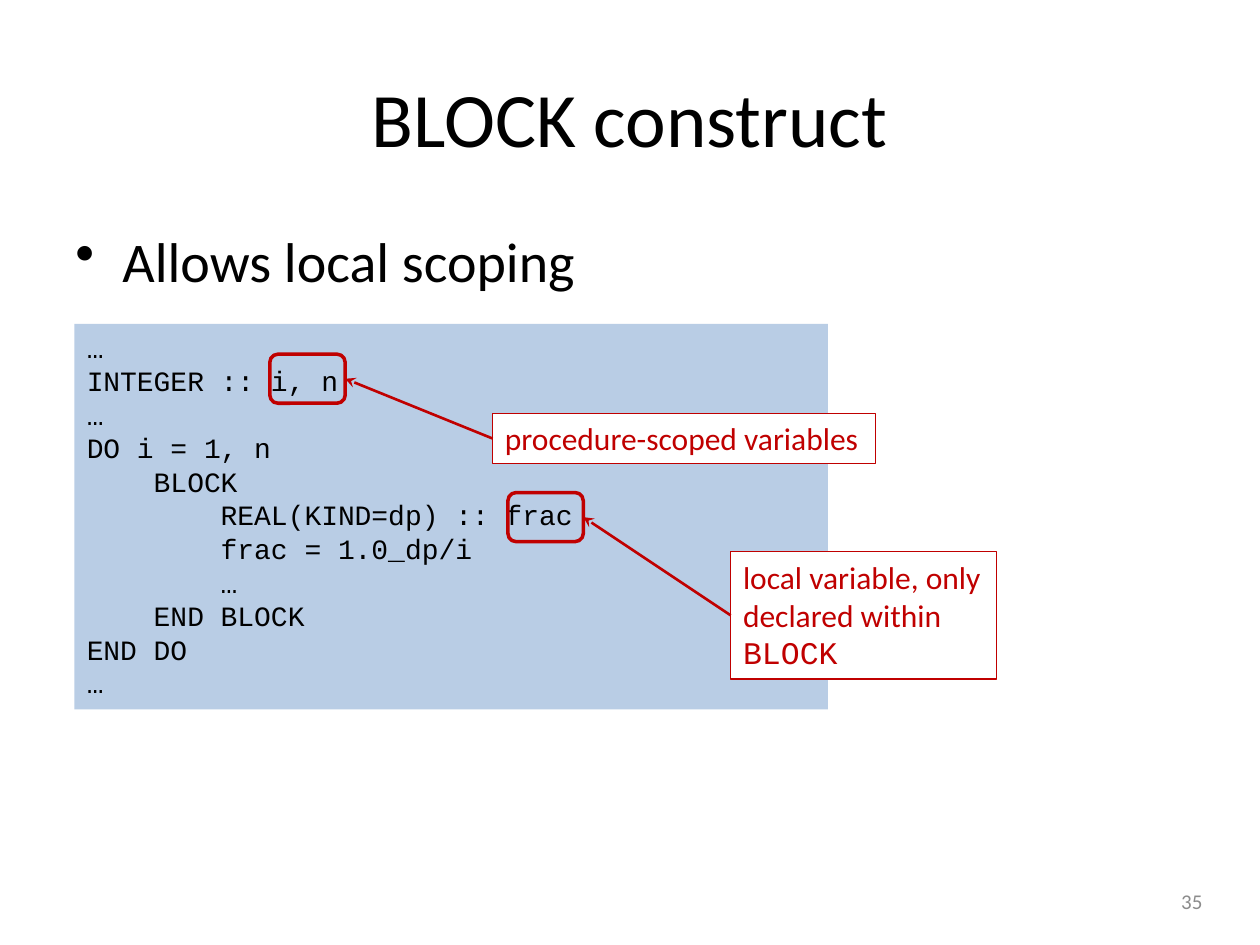
from dataclasses import dataclass

from lxml import etree
from pptx import Presentation
from pptx import util as u
from pptx.dml.color import RGBColor
from pptx.enum import shapes, text
from pptx.oxml import ns

BLACK, WHITE, RED, GREY, PALE_BLUE = "000000", "FFFFFF", "C00000", "8C8C8C", "B9CDE5"
BODY_FONT, CODE_FONT = "Calibri", "Courier New"
HIGHLIGHT_SIZE = (1.52, 0.99)
LABEL_OFFSET = (4.49, 1.19)

CODE = """…
INTEGER :: i, n
…
DO i = 1, n
    BLOCK
        REAL(KIND=dp) :: frac
        frac = 1.0_dp/i
        …
    END BLOCK
END DO
…"""


@dataclass(frozen=True)
class Style:
    font: str
    size: float
    color: str


@dataclass(frozen=True)
class Callout:
    left: float
    top: float
    label_size: tuple[float, float]
    paragraphs: list[tuple[list[str], str]]


CALLOUTS = [
    Callout(5.44, 7.14, (7.72, 1.02), [(["procedure-scoped variables"], BODY_FONT)]),
    Callout(10.24, 9.93, (5.36, 2.57), [
        (["local variable, only", "declared within"], BODY_FONT),
        (["BLOCK"], CODE_FONT),
    ]),
]


def rgb(color: str) -> RGBColor:
    return RGBColor.from_string(color)


def box(left: float, top: float, width: float, height: float) -> list[u.Length]:
    return [u.Cm(value) for value in (left, top, width, height)]


def write(paragraph, lines: list[str], style: Style, align=text.PP_ALIGN.LEFT) -> None:
    paragraph.alignment = align
    for index, line in enumerate(lines):
        if index:
            paragraph.add_line_break()
        run = paragraph.add_run()
        run.text = line
        run.font.name = style.font
        run.font.size = u.Pt(style.size)
        run.font.color.rgb = rgb(style.color)


def next_paragraph(frame, index: int):
    return frame.add_paragraph() if index else frame.paragraphs[0]


def add_panel(parent, kind, bounds: list[u.Length], fill: str | None = None,
              line: str | None = None, line_width: float = 0.75):
    panel = parent.add_shape(kind, *bounds)
    panel.shadow.inherit = False
    if fill:
        panel.fill.solid()
        panel.fill.fore_color.rgb = rgb(fill)
    else:
        panel.fill.background()
    if line:
        panel.line.color.rgb = rgb(line)
        panel.line.width = u.Pt(line_width)
    else:
        panel.line.fill.background()
    panel.text_frame.vertical_anchor = text.MSO_ANCHOR.TOP
    return panel


def add_arrow(parent, source, target) -> None:
    arrow = parent.add_connector(shapes.MSO_CONNECTOR.STRAIGHT, 0, 0, 0, 0)
    arrow.begin_connect(source, 1)
    arrow.end_connect(target, 3)
    arrow.line.color.rgb = rgb(RED)
    arrow.line.width = u.Pt(1.5)
    etree.SubElement(arrow.line._get_or_add_ln(), ns.qn("a:tailEnd"), type="stealth")
    etree.SubElement(arrow._element.spPr, ns.qn("a:effectLst"))


def add_callout(slide, callout: Callout) -> None:
    highlight = add_panel(
        slide.shapes, shapes.MSO_SHAPE.ROUNDED_RECTANGLE,
        box(callout.left, callout.top, *HIGHLIGHT_SIZE), line=RED, line_width=2)
    label = add_panel(
        slide.shapes, shapes.MSO_SHAPE.RECTANGLE,
        box(callout.left + LABEL_OFFSET[0], callout.top + LABEL_OFFSET[1],
            *callout.label_size), WHITE, RED)
    frame = label.text_frame
    frame.word_wrap = False
    frame.auto_size = text.MSO_AUTO_SIZE.SHAPE_TO_FIT_TEXT
    for index, (lines, font) in enumerate(callout.paragraphs):
        write(next_paragraph(frame, index), lines, Style(font, 18, RED))
    add_arrow(slide.shapes, label, highlight)


def add_code(slide) -> None:
    listing = add_panel(slide.shapes, shapes.MSO_SHAPE.RECTANGLE,
                        box(1.5, 6.53, 15.19, 7.77), PALE_BLUE)
    frame = listing.text_frame
    frame.word_wrap = True
    frame.auto_size = text.MSO_AUTO_SIZE.SHAPE_TO_FIT_TEXT
    for index, line in enumerate(CODE.splitlines()):
        write(next_paragraph(frame, index), [line], Style(CODE_FONT, 16, BLACK))


def add_text(slide, bounds: list[u.Length], anchor):
    frame = slide.shapes.add_textbox(*bounds).text_frame
    frame.word_wrap = True
    frame.vertical_anchor = anchor
    return frame.paragraphs[0]


def main() -> None:
    deck = Presentation()
    deck.slide_width, deck.slide_height = u.Cm(25.4), u.Cm(19.05)
    slide = deck.slides.add_slide(deck.slide_layouts[5])

    title = slide.shapes.title
    title.left, title.top, title.width, title.height = box(1.27, 0.76, 22.86, 3.18)
    title.text_frame.vertical_anchor = text.MSO_ANCHOR.MIDDLE
    write(title.text_frame.paragraphs[0], ["BLOCK construct"],
          Style(BODY_FONT, 44, BLACK), text.PP_ALIGN.CENTER)

    point = add_text(slide, box(1.27, 4.45, 22.86, 12.57), text.MSO_ANCHOR.TOP)
    properties = point._p.get_or_add_pPr()
    properties.set("marL", str(u.Cm(0.95)))
    properties.set("indent", str(u.Cm(-0.95)))
    etree.SubElement(properties, ns.qn("a:buChar"), char="•")
    write(point, ["Allows local scoping"], Style(BODY_FONT, 32, BLACK))

    page_number = add_text(slide, box(18.57, 17.65, 5.92, 1.02), text.MSO_ANCHOR.MIDDLE)
    write(page_number, ["35"], Style(BODY_FONT, 12, GREY), text.PP_ALIGN.RIGHT)

    add_code(slide)
    for callout in CALLOUTS:
        add_callout(slide, callout)
    deck.save("out.pptx")


if __name__ == "__main__":
    main()
